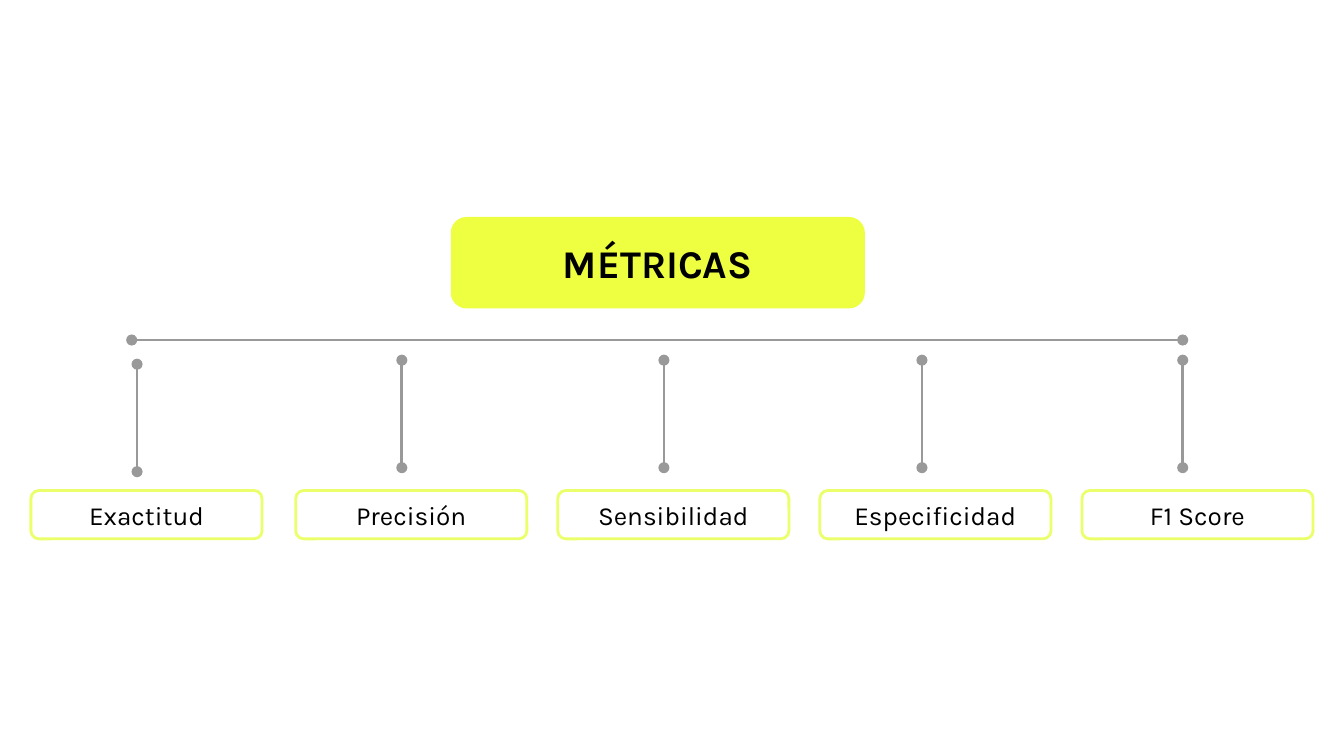
import pptx
import pptx.util
import pptx.dml.color
import pptx.enum.shapes
import pptx.enum.text
import pptx.oxml.ns
import lxml.etree

YELLOW = pptx.dml.color.RGBColor(0xEE, 0xFF, 0x41)
LIME = pptx.dml.color.RGBColor(0xEA, 0xFF, 0x6A)
GRAY = pptx.dml.color.RGBColor(0x99, 0x99, 0x99)
BLACK = pptx.dml.color.RGBColor(0, 0, 0)
INCH = pptx.util.Inches

deck = pptx.Presentation()
deck.slide_width = INCH(10)
deck.slide_height = deck.slide_width * 9 // 16
page = deck.slides.add_slide(deck.slide_layouts[6])


def add_node(text, left, top, width, height, size, line_color, line_width):
    box = page.shapes.add_shape(
        pptx.enum.shapes.MSO_SHAPE.ROUNDED_RECTANGLE,
        INCH(left), INCH(top), INCH(width), INCH(height))
    box.shadow.inherit = False
    box.fill.background()
    box.line.color.rgb = line_color
    box.line.width = pptx.util.Pt(line_width)
    frame = box.text_frame
    frame.word_wrap = True
    frame.vertical_anchor = pptx.enum.text.MSO_ANCHOR.MIDDLE
    frame.margin_left = frame.margin_right = INCH(0.1)
    frame.margin_top = frame.margin_bottom = INCH(0.1)
    para = frame.paragraphs[0]
    para.text = text
    para.alignment = pptx.enum.text.PP_ALIGN.CENTER
    para.font.name = "Karla"
    para.font.size = pptx.util.Pt(size)
    para.font.color.rgb = BLACK
    return box


def add_dotted_line(x1, y1, x2, y2):
    connector = page.shapes.add_connector(
        pptx.enum.shapes.MSO_CONNECTOR.STRAIGHT,
        INCH(x1), INCH(y1), INCH(x2), INCH(y2))
    connector.line.color.rgb = GRAY
    connector.line.width = pptx.util.Pt(1.5)
    outline = connector.line._get_or_add_ln()
    for end in ("a:headEnd", "a:tailEnd"):
        lxml.etree.SubElement(outline, pptx.oxml.ns.qn(end), type="oval")
    lxml.etree.SubElement(connector._element.spPr, pptx.oxml.ns.qn("a:effectLst"))


root = add_node("MÉTRICAS", 3.36, 1.62, 3.07, 0.67, 21, YELLOW, 0.75)
root.fill.solid()
root.fill.fore_color.rgb = YELLOW
root.text_frame.paragraphs[0].font.bold = True

add_dotted_line(0.98, 2.53, 8.8, 2.53)

COLUMN_START = 0.25
COLUMN_STEP = 1.95
STEM_LENGTH = 0.8
metrics = [
    ("Exactitud", -0.02, 1.02, 2.71),
    ("Precisión", 0, 2.99, 2.68),
    ("Sensibilidad", 0, 4.94, 2.68),
    ("Especificidad", 0, 6.86, 2.68),
    ("F1 Score", 0, 8.8, 2.68),
]
for column, (metric, shift, stem_x, stem_top) in enumerate(metrics):
    left = COLUMN_START + column * COLUMN_STEP + shift
    add_node(metric, left, 3.65, 1.72, 0.36, 14, LIME, 1.5)
    add_dotted_line(stem_x, stem_top, stem_x, stem_top + STEM_LENGTH)

deck.save("out.pptx")
